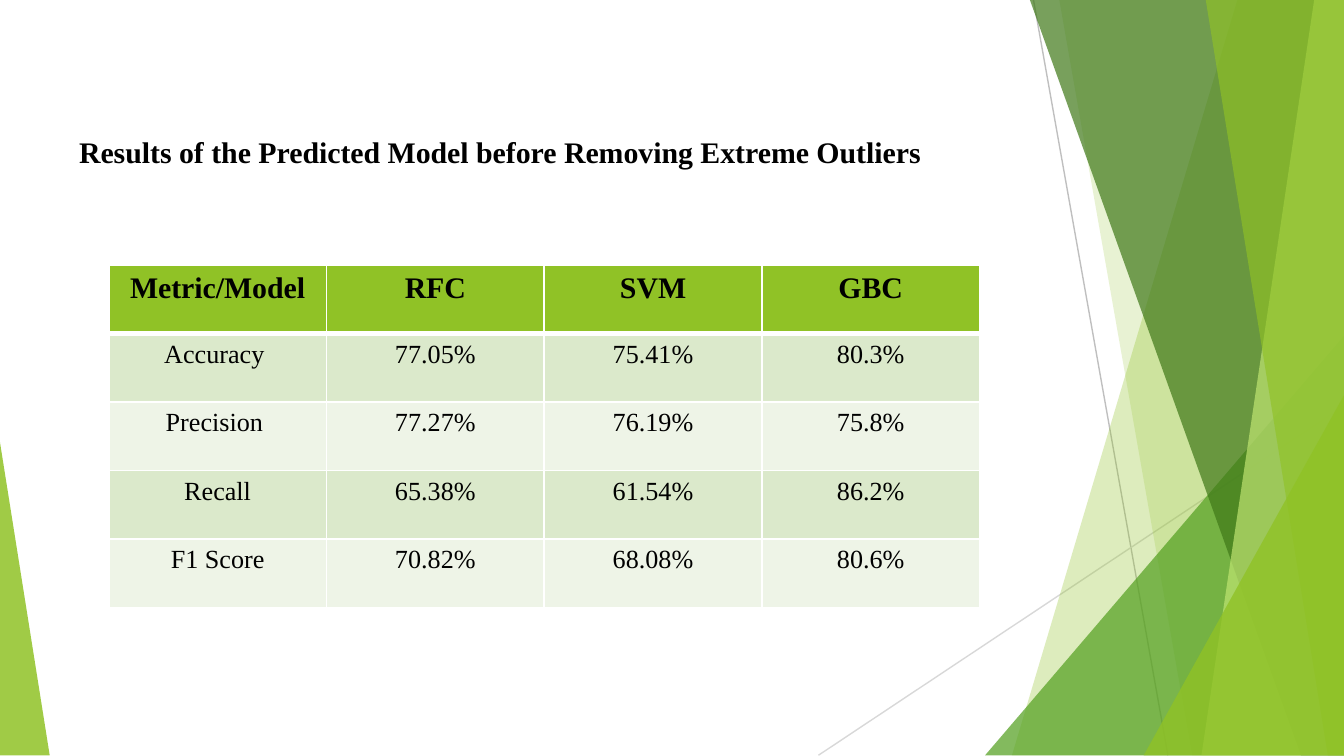
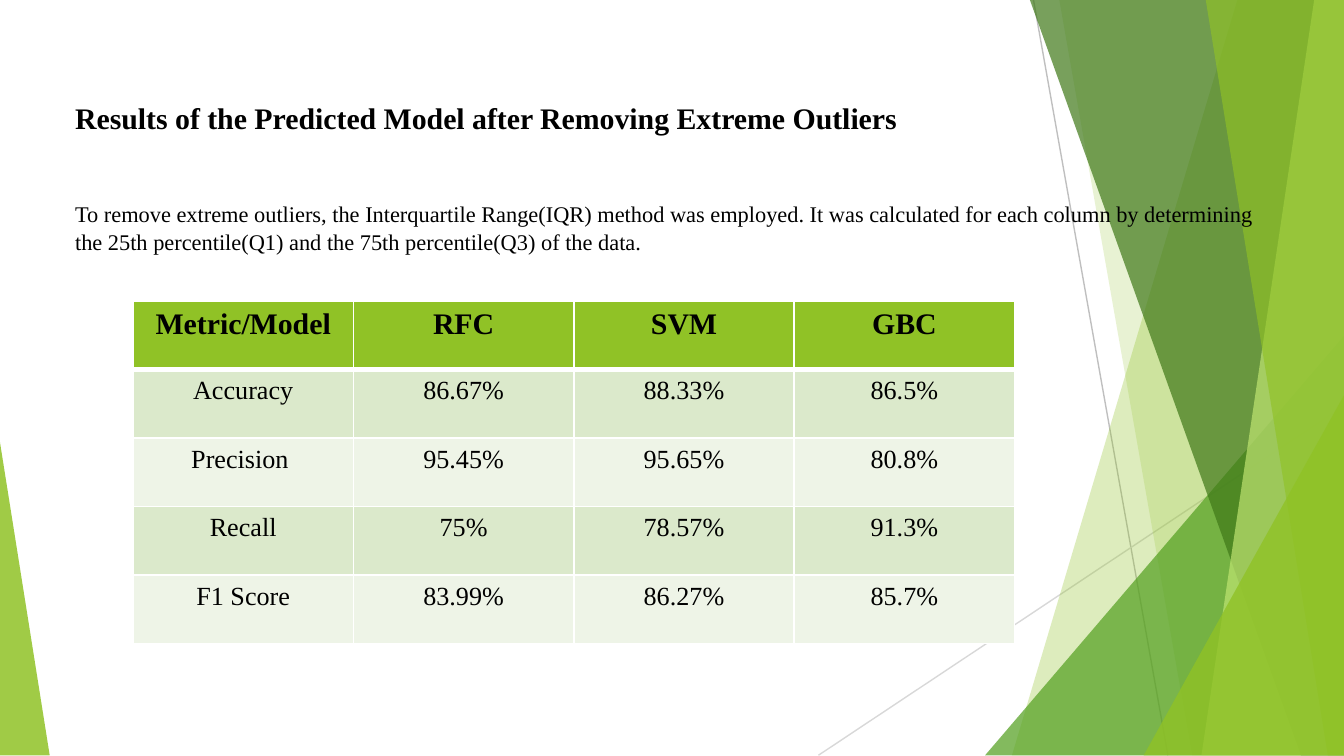
from lxml import etree
from pptx import Presentation
from pptx.dml.color import RGBColor
from pptx.enum.shapes import MSO_CONNECTOR, MSO_SHAPE
from pptx.enum.text import MSO_ANCHOR, PP_ALIGN
from pptx.oxml.ns import qn
from pptx.util import Inches, Pt

STRAIGHT = MSO_CONNECTOR.STRAIGHT
TRIANGLE = MSO_SHAPE.ISOSCELES_TRIANGLE
CENTER, LEFT = PP_ALIGN.CENTER, PP_ALIGN.LEFT
TOP = MSO_ANCHOR.TOP

FONT = "Times New Roman"
BLACK, WHITE = "000000", "FFFFFF"
LIME, GREEN, DARK, PALE = "90C226", "54A021", "3F7818", "BFE471"
BAND_ROWS = ("DBE9CB", "EEF4E7")
HEADING = {"size": Pt(16), "bold": True}
BODY = {"size": Pt(12), "bold": False}
VALUE = {"size": Pt(14), "bold": False}

SLIDE_W, SLIDE_H = 10, 5.62
BAND_TOP = -0.01
ROW_H = 0.51

HEADER = ["Metric/Model", "RFC", "SVM", "GBC"]
BEFORE = [
    HEADER,
    ["Accuracy ", "77.05%", "75.41%", "80.3%"],
    ["Precision ", "77.27%", "76.19%", "75.8%"],
    ["Recall", "65.38%", "61.54%", "86.2%"],
    ["F1 Score", "70.82%", "68.08%", "80.6%"],
]
AFTER = [
    HEADER,
    ["Accuracy", "86.67%", "88.33%", "86.5%"],
    ["Precision ", "95.45%", "95.65%", "80.8%"],
    ["Recall", "75%", "78.57%", "91.3%"],
    ["F1 Score", "83.99%", "86.27%", "85.7%"],
]
IQR_NOTE = (
    "To remove extreme outliers, the Interquartile Range(IQR) method was employed. "
    "It was calculated for each column by determining the 25th percentile(Q1) "
    "and the 75th percentile(Q3) of the data."
)


def rgb(color):
    return RGBColor.from_string(color)


def paint(sp, color, opacity):
    """Fill a shape without outline or shadow, at an opacity in percent."""
    sp.shadow.inherit = False
    sp.fill.solid()
    sp.fill.fore_color.rgb = rgb(color)
    sp.line.fill.background()
    clr = sp.fill._xPr.find(qn("a:solidFill"))[0]
    etree.SubElement(clr, qn("a:alpha"), val=str(opacity * 1000))


def add_line(slide, start, end, color):
    points = [Inches(v) for v in (*start, *end)]
    line = slide.shapes.add_connector(STRAIGHT, *points)
    line.line.color.rgb = rgb(color)
    line.line.width = Pt(0.75)
    etree.SubElement(line._element.spPr, qn("a:effectLst"))


def add_band(slide, top_x, bottom_x, color, opacity):
    """Draw a band from a slanted left edge to the right edge of the slide."""
    corners = [(top_x, BAND_TOP), (SLIDE_W, BAND_TOP),
               (SLIDE_W, SLIDE_H), (bottom_x, SLIDE_H)]
    points = [(Inches(x), Inches(y)) for x, y in corners]
    builder = slide.shapes.build_freeform(*points[0])
    builder.add_line_segments(points[1:], close=True)
    paint(builder.convert_to_shape(), color, opacity)


def add_triangle(slide, left, top, width, apex, color, opacity):
    """Draw a triangle that stands on the bottom edge of the slide."""
    box = [Inches(v) for v in (left, top, width, SLIDE_H - top)]
    sp = slide.shapes.add_shape(TRIANGLE, *box)
    sp.adjustments[0] = apex
    paint(sp, color, opacity)


def add_backdrop(slide):
    add_line(slide, (7.69, 0), (8.69, SLIDE_H), "BFBFBF")
    add_line(slide, (10, 3.02), (6.09, SLIDE_H), "D8D8D8")
    add_band(slide, 9.21, 7.53, LIME, 30)
    add_band(slide, 7.88, 8.87, LIME, 20)
    add_triangle(slide, 7.33, 2.5, 2.67, 1, GREEN, 72)
    add_band(slide, 7.66, 9.68, DARK, 70)
    add_band(slide, 9.78, 8.94, PALE, 70)
    add_band(slide, 8.97, 9.88, LIME, 65)
    add_triangle(slide, 8.51, 2.94, 1.49, 1, LIME, 80)
    add_triangle(slide, 0, 3.29, 0.37, 0, LIME, 85)


def write(p, text, style, align):
    p.alignment = align
    r = p.add_run()
    r.text = text
    r.font.name = FONT
    r.font.color.rgb = rgb(BLACK)
    for name, value in style.items():
        setattr(r.font, name, value)


def add_text(slide, box, title, note=None):
    """Write the slide heading and, below it, an optional note."""
    tf = slide.shapes.add_textbox(*[Inches(v) for v in box]).text_frame
    tf.word_wrap = True
    tf.vertical_anchor = TOP
    for side in ("left", "top", "right", "bottom"):
        setattr(tf, f"margin_{side}", Inches(0.1))
    write(tf.paragraphs[0], title, HEADING, LEFT)
    if note:
        p = tf.add_paragraph()
        p.space_before = Pt(34)
        write(p, note, BODY, LEFT)
    for p in tf.paragraphs:
        p.line_spacing = 1.05
        p._p.get_or_add_pPr().set("marL", str(Inches(0.12)))


def set_borders(cell, widths):
    """Give a cell white borders; widths in points are keyed by side."""
    tc_pr = cell._tc.get_or_add_tcPr()
    for i, side in enumerate("LRTB"):
        ln = etree.Element(qn(f"a:ln{side}"), w=str(Pt(widths.get(side, 1))))
        fill = etree.SubElement(ln, qn("a:solidFill"))
        etree.SubElement(fill, qn("a:srgbClr"), val=WHITE)
        tc_pr.insert(i, ln)


def add_results(slide, left, top, col_w, rows):
    n_rows, n_cols = len(rows), len(rows[0])
    box = [Inches(v) for v in (left, top, col_w * n_cols, ROW_H * n_rows)]
    table = slide.shapes.add_table(n_rows, n_cols, *box).table
    for col in table.columns:
        col.width = Inches(col_w)
    for i, row in enumerate(rows):
        table.rows[i].height = Inches(ROW_H)
        color = BAND_ROWS[(i - 1) % 2] if i else LIME
        widths = {0: {"B": 3}, 1: {"T": 3}}.get(i, {})
        for j, text in enumerate(row):
            cell = table.cell(i, j)
            cell.fill.solid()
            cell.fill.fore_color.rgb = rgb(color)
            set_borders(cell, widths)
            write(cell.text_frame.paragraphs[0], text, VALUE if i else HEADING, CENTER)


def new_slide(prs):
    slide = prs.slides.add_slide(prs.slide_layouts[6])
    slide.background.fill.solid()
    slide.background.fill.fore_color.rgb = rgb(WHITE)
    add_backdrop(slide)
    return slide


def main():
    prs = Presentation()
    prs.slide_width = Inches(SLIDE_W)
    prs.slide_height = Inches(SLIDE_W) * 9 // 16

    slide = new_slide(prs)
    add_text(slide, (0.37, 0.88, 8.24, 3.93),
             "Results of the Predicted Model before Removing Extreme Outliers")
    add_results(slide, 0.81, 1.97, 1.62, BEFORE)

    slide = new_slide(prs)
    add_text(slide, (0.34, 0.63, 9.32, 4.36),
             "Results of the Predicted Model after Removing Extreme Outliers", IQR_NOTE)
    add_results(slide, 0.99, 2.24, 1.64, AFTER)

    prs.save("out.pptx")


if __name__ == "__main__":
    main()
